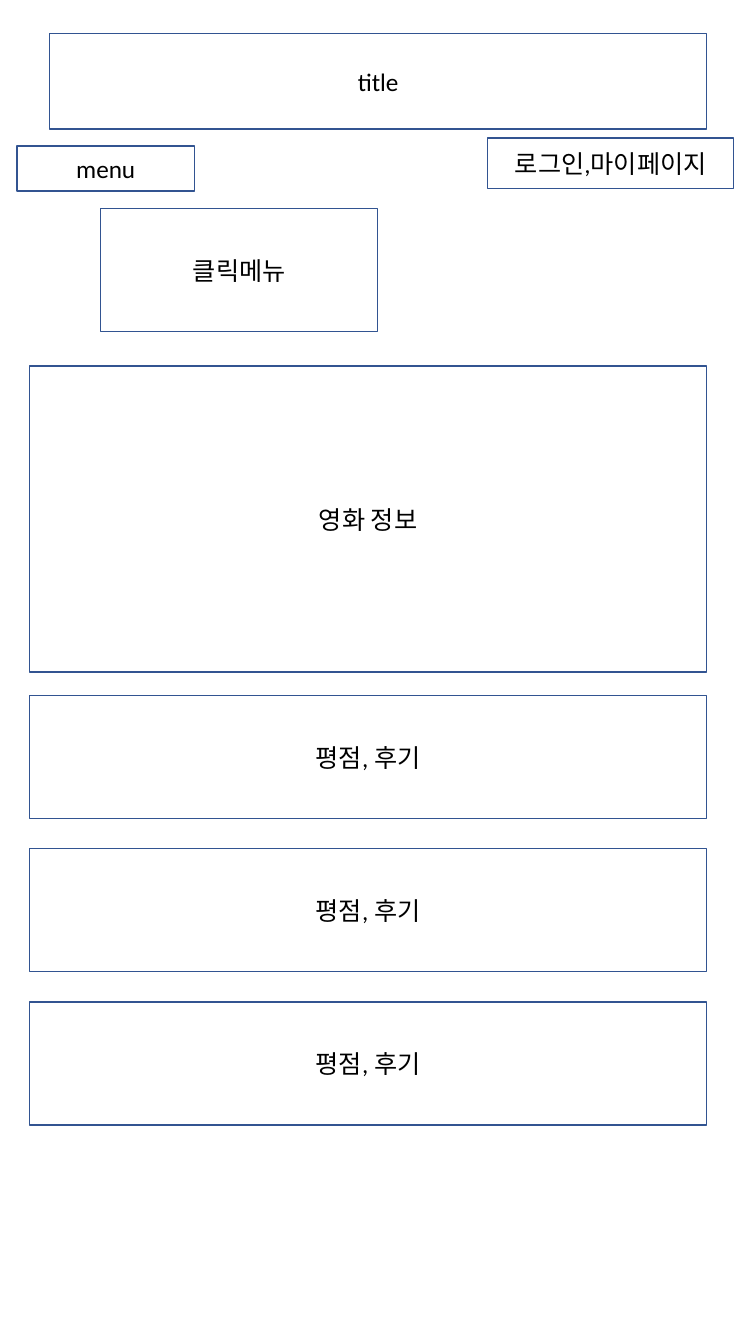
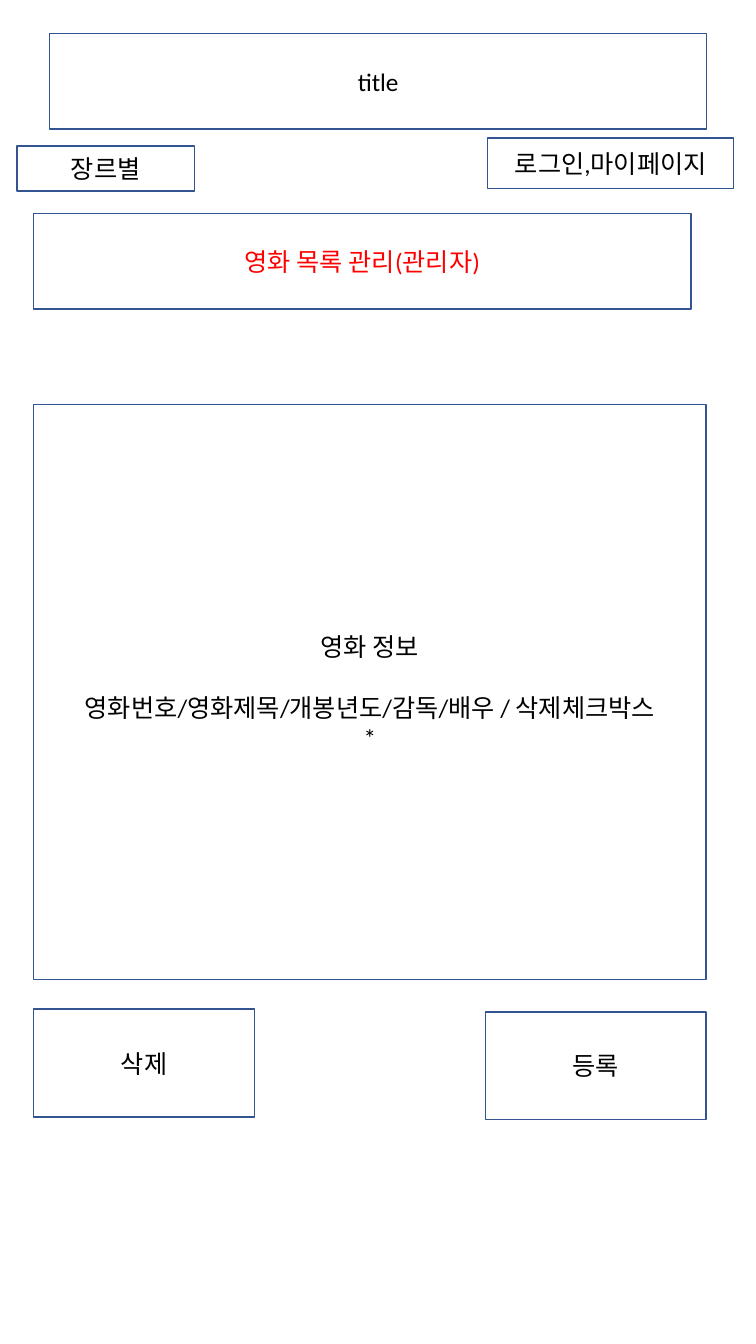
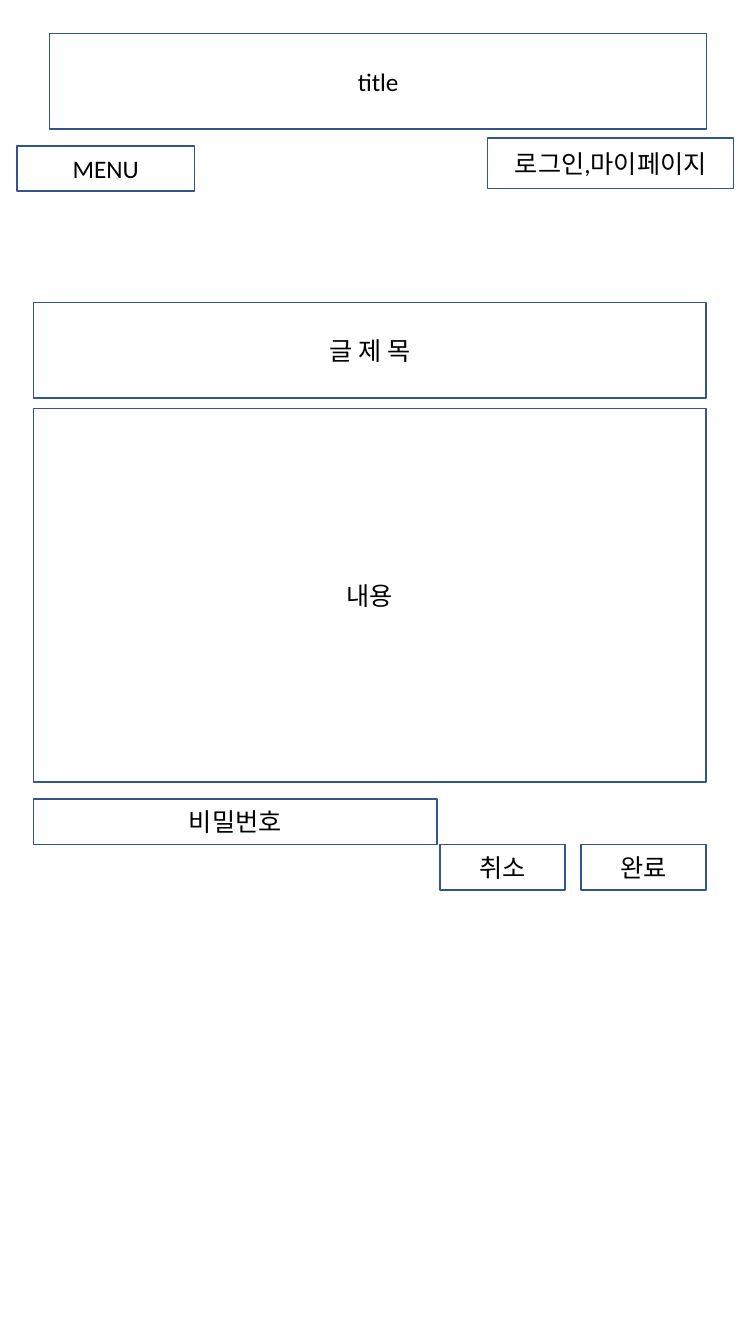
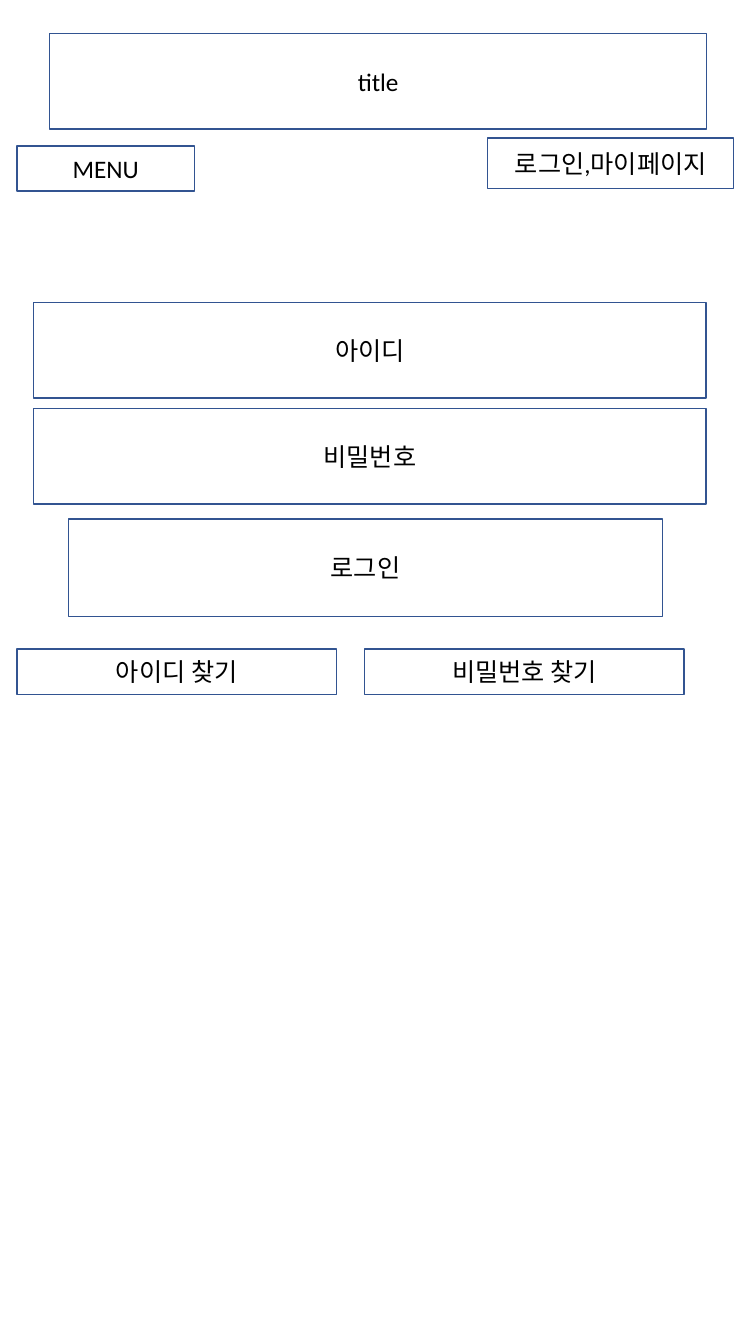
from pptx import Presentation
from pptx.dml.color import RGBColor
from pptx.enum.shapes import MSO_SHAPE
from pptx.enum.text import MSO_ANCHOR, MSO_AUTO_SIZE, PP_ALIGN
from pptx.util import Cm, Pt

RECT = MSO_SHAPE.RECTANGLE
MIDDLE = MSO_ANCHOR.MIDDLE
CENTER = PP_ALIGN.CENTER
NO_FIT = MSO_AUTO_SIZE.NONE
TITLE_ONLY = 5

COLORS = {"fill": "FFFFFF", "line": "325491", "text": "000000", "admin": "FF0000"}
FONT, SIZE = "Calibri", Pt(18)
PAGE_W, PAGE_H = 19.05, 33.87
BAND_H, ROW_H = 2.41, 1.14


def color(name):
    """Return the named palette colour."""
    return RGBColor.from_string(COLORS[name])


def style(sp, text, text_color="text"):
    """Give a shape the wireframe outline and centred text."""
    sp.fill.solid()
    sp.fill.fore_color.rgb = color("fill")
    sp.line.color.rgb = color("line")
    sp.line.width = Pt(1)
    tf = sp.text_frame
    tf.text = text
    tf.word_wrap = True
    tf.auto_size = NO_FIT
    tf.vertical_anchor = MIDDLE
    for p in tf.paragraphs:
        p.alignment = CENTER
        for r in p.runs:
            r.font.name = FONT
            r.font.size = SIZE
            r.font.color.rgb = color(text_color)


def add_box(s, box, text, text_color="text"):
    """Add one wireframe rectangle."""
    sp = s.shapes.add_shape(RECT, *map(Cm, box))
    sp.shadow.inherit = False
    style(sp, text, text_color)
    return sp


def add_row(s, box, labels, gap):
    """Split a box into equal boxes side by side."""
    x, y, w, h = box
    cell = (w - gap * (len(labels) - 1)) / len(labels)
    for i, label in enumerate(labels):
        add_box(s, (x + i * (cell + gap), y, cell, h), label)


def add_stack(s, box, labels, gap):
    """Split a box into equal boxes one below the other."""
    x, y, w, h = box
    cell = (h - gap * (len(labels) - 1)) / len(labels)
    for i, label in enumerate(labels):
        add_box(s, (x, y + i * (cell + gap), w, cell), label)


def add_header(s, box, menu):
    """Place the title, menu and account boxes within the header area."""
    x, y, w, h = box
    title = s.shapes.title
    title.left, title.top = Cm(x + 0.82), Cm(y)
    title.width, title.height = Cm(16.56), Cm(BAND_H)
    style(title, "title")
    add_box(s, (x, y + h - ROW_H, 4.47, ROW_H), menu)
    add_box(s, (x + w - 6.2, y + 2.64, 6.2, 1.27), "로그인,마이페이지")


def add_screen(prs, menu):
    """Add a slide with the shared header."""
    s = prs.slides.add_slide(prs.slide_layouts[TITLE_ONLY])
    add_header(s, (0.43, 0.84, 18.06, 3.98), menu)
    return s


def movie_body(s, box):
    """Place the click menu, movie details and reviews."""
    x, y, w, h = box
    add_box(s, (x + 1.8, y, 6.98, 3.1), "클릭메뉴")
    add_box(s, (x, y + 3.96, w, 7.72), "영화 정보")
    add_stack(s, (x, y + 12.27, w, h - 12.27), ["평점, 후기"] * 3, 0.76)


def admin_body(s, box):
    """Place the movie list management area and its buttons."""
    x, y, w, h = box
    add_box(s, (x, y, 16.56, BAND_H), "영화 목록 관리(관리자)", "admin")
    lines = ["영화 정보", "영화번호/영화제목/개봉년도/감독/배우 / 삭제체크박스", "*"]
    panel = add_box(s, (x, y + 4.81, w, 14.5), "\n".join(lines))
    panel.text_frame.paragraphs[1].space_before = Pt(22)
    button_w, button_h = 5.56, 2.72
    add_box(s, (x, y + 20.05, button_w, button_h), "삭제")
    add_box(s, (x + w - button_w, y + h - button_h, button_w, button_h), "등록")


def post_body(s, box):
    """Place the fields and buttons for writing a post."""
    x, y, w, h = box
    add_box(s, (x, y, w, BAND_H), "글 제 목")
    add_box(s, (x, y + 2.67, w, 9.42), "내용")
    add_box(s, (x, y + 12.52, 10.16, ROW_H), "비밀번호")
    add_row(s, (x + w - 6.7, y + h - ROW_H, 6.7, ROW_H), ["취소", "완료"], 0.4)


def login_body(s, box):
    """Place the sign-in fields, button and recovery links."""
    x, y, w, h = box
    add_stack(s, (x, y, w, 5.08), ["아이디", "비밀번호"], 0.26)
    add_box(s, (x + 0.88, y + 5.46, 14.96, 2.46), "로그인")
    add_row(s, (x - 0.42, y + h - ROW_H, 16.81, ROW_H), ["아이디 찾기", "비밀번호 찾기"], 0.71)


def main():
    """Build and save the wireframe screens."""
    prs = Presentation()
    prs.slide_width, prs.slide_height = Cm(PAGE_W), Cm(PAGE_H)
    screens = [
        ("menu", movie_body, (0.74, 5.26, 17.07, 23.09)),
        ("장르별", admin_body, (0.85, 5.38, 16.94, 22.84)),
        ("MENU", post_body, (0.85, 7.62, 16.94, 14.81)),
        ("MENU", login_body, (0.85, 7.62, 16.94, 9.88)),
    ]
    for menu, body, box in screens:
        body(add_screen(prs, menu), box)
    prs.save("out.pptx")


if __name__ == "__main__":
    main()
